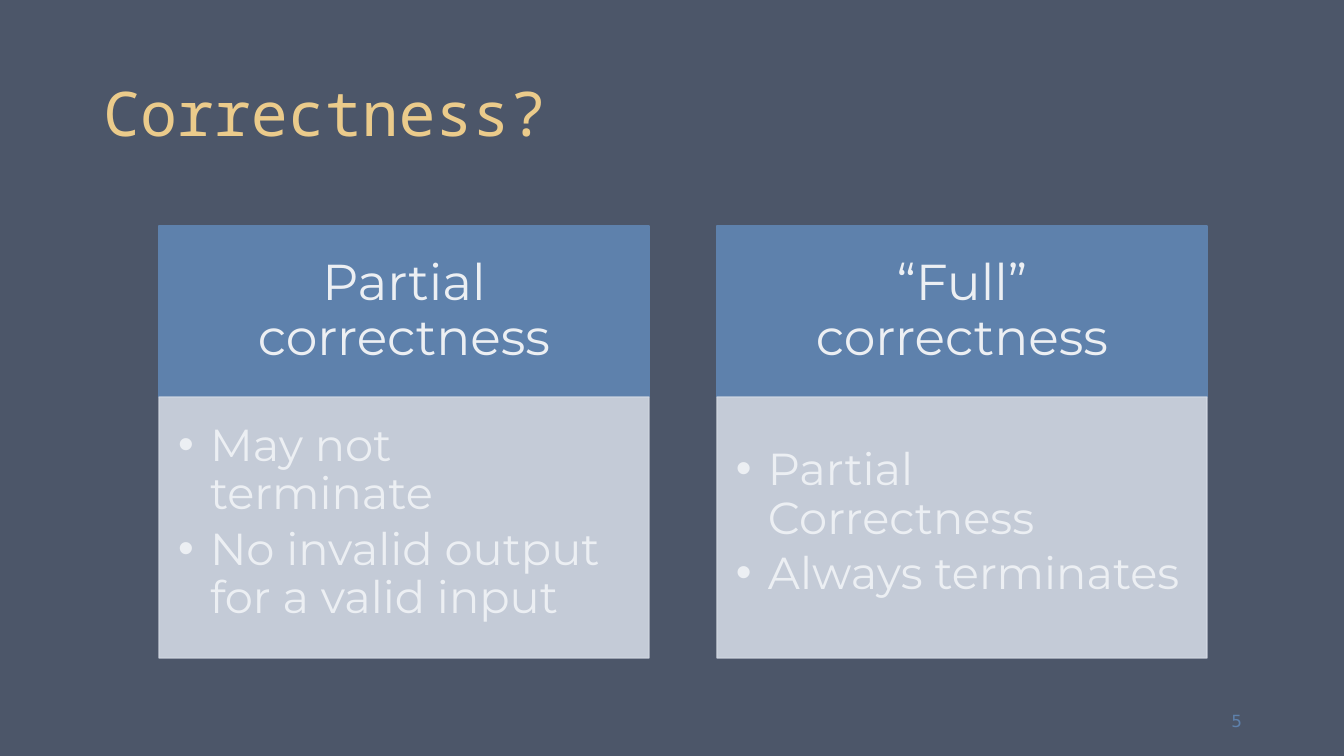
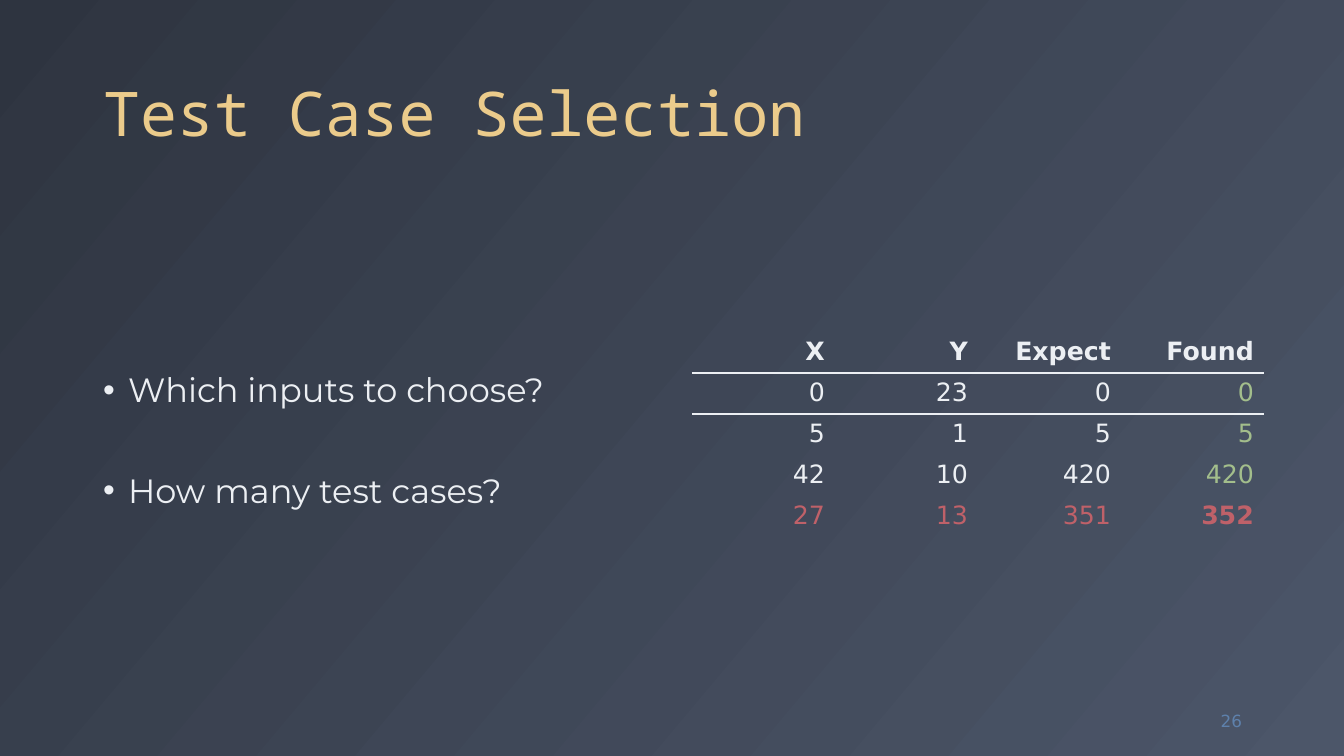
from dataclasses import dataclass

from lxml import etree
from pptx import Presentation
from pptx.dml.color import RGBColor
from pptx.enum.shapes import MSO_SHAPE
from pptx.enum.text import MSO_ANCHOR, MSO_AUTO_SIZE, PP_ALIGN
from pptx.oxml.ns import qn
from pptx.presentation import Presentation as Deck
from pptx.slide import Slide
from pptx.table import _Cell
from pptx.text.text import TextFrame, _Paragraph
from pptx.util import Emu, Pt

RECTANGLE = MSO_SHAPE.RECTANGLE
NO_AUTOFIT = MSO_AUTO_SIZE.NONE
MIDDLE, BOTTOM = MSO_ANCHOR.MIDDLE, MSO_ANCHOR.BOTTOM
LEFT, CENTER, RIGHT = PP_ALIGN.LEFT, PP_ALIGN.CENTER, PP_ALIGN.RIGHT

COLORS = {
    "night": "2E3440",
    "slate": "4C5669",
    "blue": "5E81AC",
    "mist": "D2D8E3",
    "snow": "ECEFF3",
    "gold": "EBCB8B",
    "green": "A3BE8C",
    "red": "BF6169",
}
TITLE_FONT, TEXT_FONT, NUMBER_FONT = "Noto Sans Mono", "Montserrat", "DejaVu Sans"
NO_TABLE_STYLE = "{2D5ABB26-0587-4C30-8999-92F81FD0307C}"
TITLE_ONLY, TITLE_AND_CONTENT = 5, 1


def px(length: int) -> Emu:
    return Emu(round(length * 12192000 / 1344))


def rgb(color: str) -> RGBColor:
    return RGBColor.from_string(COLORS[color])


@dataclass(frozen=True)
class Box:
    left: int
    top: int
    width: int
    height: int

    def emu(self) -> tuple[Emu, Emu, Emu, Emu]:
        return px(self.left), px(self.top), px(self.width), px(self.height)


@dataclass(frozen=True)
class Style:
    font: str
    size: int
    color: str
    align: PP_ALIGN = LEFT
    bold: bool = False
    line_spacing: float = 0.9


@dataclass(frozen=True)
class Panel:
    heading: str
    points: list[str]


@dataclass(frozen=True)
class TestCase:
    values: list[str]
    passed: bool


TITLE = Style(TITLE_FONT, 44, "gold")
PANEL_HEADING = Style(TEXT_FONT, 36, "snow", CENTER)
PANEL_POINT = Style(TEXT_FONT, 32, "snow")
QUESTION = Style(TEXT_FONT, 24, "snow")
PAGE_NUMBER = Style(NUMBER_FONT, 12, "blue", RIGHT, line_spacing=1.0)

TITLE_BOX = Box(93, 18, 1159, 137)
NUMBER_BOX = Box(1168, 701, 84, 40)
QUESTIONS_BOX = Box(93, 202, 572, 480)

PANELS = [
    Panel("Partial correctness", ["May not terminate", "No invalid output for a valid input"]),
    Panel("“Full” correctness", ["Partial Correctness", "Always terminates"]),
]
QUESTIONS = ["Which inputs to choose?", "How many test cases?"]
TEST_HEADER = ["X", "Y", "Expect", "Found"]
TEST_CASES = [
    TestCase(["0", "23", "0", "0"], True),
    TestCase(["5", "1", "5", "5"], True),
    TestCase(["42", "10", "420", "420"], True),
    TestCase(["27", "13", "351", "352"], False),
]


# Text
def write(paragraph: _Paragraph, text: str, style: Style) -> None:
    paragraph.alignment = style.align
    paragraph.line_spacing = style.line_spacing
    run = paragraph.add_run()
    run.text = text
    run.font.name = style.font
    run.font.size = Pt(style.size)
    run.font.bold = style.bold
    run.font.color.rgb = rgb(style.color)


def prepare(frame: TextFrame, anchor: MSO_ANCHOR) -> None:
    frame.word_wrap = True
    frame.auto_size = NO_AUTOFIT
    frame.vertical_anchor = anchor


def set_insets(frame: TextFrame, left: int, top: int, right: int, bottom: int) -> None:
    frame.margin_left, frame.margin_top = px(left), px(top)
    frame.margin_right, frame.margin_bottom = px(right), px(bottom)


def write_bullets(frame: TextFrame, points: list[str], style: Style, indent: int, gap: int) -> None:
    for index, point in enumerate(points):
        paragraph = frame.add_paragraph() if index else frame.paragraphs[0]
        properties = paragraph._p.get_or_add_pPr()
        properties.set("marL", str(px(indent)))
        properties.set("indent", str(-px(indent)))
        etree.SubElement(properties, qn("a:buFont")).set("typeface", "Arial")
        etree.SubElement(properties, qn("a:buChar")).set("char", "•")
        paragraph.space_before = Pt(gap if index else 0)
        write(paragraph, point, style)


# Shared slide frame
def add_slide(deck: Deck, layout: int, title: str, number: str) -> Slide:
    slide = deck.slides.add_slide(deck.slide_layouts[layout])
    heading = slide.shapes.title
    heading.left, heading.top, heading.width, heading.height = TITLE_BOX.emu()
    prepare(heading.text_frame, BOTTOM)
    write(heading.text_frame.paragraphs[0], title, TITLE)

    page = slide.shapes.add_textbox(*NUMBER_BOX.emu()).text_frame
    prepare(page, MIDDLE)
    write(page.paragraphs[0], number, PAGE_NUMBER)
    return slide


# Correctness panels
def add_block(slide: Slide, box: Box, color: str, opacity: int = 100) -> TextFrame:
    block = slide.shapes.add_shape(RECTANGLE, *box.emu())
    block.shadow.inherit = False
    block.fill.solid()
    block.fill.fore_color.rgb = rgb(color)
    block.line.color.rgb = rgb(color)
    block.line.width = Pt(1)
    if opacity < 100:
        for paint in block._element.spPr.findall(".//" + qn("a:srgbClr")):
            etree.SubElement(paint, qn("a:alpha")).set("val", str(opacity * 1000))
    prepare(block.text_frame, MIDDLE)
    return block.text_frame


def add_panel(slide: Slide, panel: Panel, left: int) -> None:
    top, width, heading_height, points_height = 226, 490, 171, 261
    heading = add_block(slide, Box(left, top, width, heading_height), "blue")
    set_insets(heading, 28, 16, 28, 16)
    write(heading.paragraphs[0], panel.heading, PANEL_HEADING)

    points = add_block(slide, Box(left, top + heading_height, width, points_height), "mist", 90)
    set_insets(points, 19, 19, 25, 28)
    write_bullets(points, panel.points, PANEL_POINT, indent=32, gap=5)


def build_correctness(deck: Deck) -> None:
    slide = add_slide(deck, TITLE_ONLY, "Correctness?", "5")
    slide.background.fill.solid()
    slide.background.fill.fore_color.rgb = rgb("slate")
    for column, panel in enumerate(PANELS):
        add_panel(slide, panel, 159 + column * 558)


# Test case table
def underline(cell: _Cell) -> None:
    border = etree.Element(qn("a:lnB"), w=str(Pt(2.25)))
    fill = etree.SubElement(border, qn("a:solidFill"))
    etree.SubElement(fill, qn("a:srgbClr")).set("val", COLORS["snow"])
    cell._tc.get_or_add_tcPr().insert(0, border)


def value_style(row: int, column: int) -> Style:
    is_found = column == len(TEST_HEADER) - 1
    color, bold = "snow", row == 0
    if row and not TEST_CASES[row - 1].passed:
        color, bold = "red", is_found
    elif row and is_found:
        color = "green"
    return Style(NUMBER_FONT, 18, color, RIGHT, bold, 1.0)


def add_test_table(slide: Slide) -> None:
    column_width, row_height, underlined_rows = 143, 41, 2
    rows = [TEST_HEADER] + [case.values for case in TEST_CASES]
    box = Box(692, 332, column_width * len(TEST_HEADER), row_height * len(rows))
    table = slide.shapes.add_table(len(rows), len(TEST_HEADER), *box.emu()).table
    table.first_row = table.horz_banding = False
    table._tbl.tblPr.find(qn("a:tableStyleId")).text = NO_TABLE_STYLE
    for column in table.columns:
        column.width = px(column_width)
    for row, values in enumerate(rows):
        table.rows[row].height = px(row_height)
        for column, value in enumerate(values):
            cell = table.cell(row, column)
            cell.fill.background()
            if row < underlined_rows:
                underline(cell)
            write(cell.text_frame.paragraphs[0], value, value_style(row, column))


def build_test_cases(deck: Deck) -> None:
    slide = add_slide(deck, TITLE_AND_CONTENT, "Test Case Selection", "26")
    backdrop = slide.background.fill
    backdrop.gradient()
    backdrop.gradient_angle = 360 - 40
    for stop, color in zip(backdrop.gradient_stops, ("night", "slate")):
        stop.color.rgb = rgb(color)

    questions = slide.placeholders[1]
    questions.left, questions.top, questions.width, questions.height = QUESTIONS_BOX.emu()
    prepare(questions.text_frame, MIDDLE)
    write_bullets(questions.text_frame, QUESTIONS, QUESTION, indent=25, gap=46)
    add_test_table(slide)


def main() -> None:
    deck = Presentation()
    deck.slide_width, deck.slide_height = px(1344), px(756)
    build_correctness(deck)
    build_test_cases(deck)
    deck.save("out.pptx")


if __name__ == "__main__":
    main()
